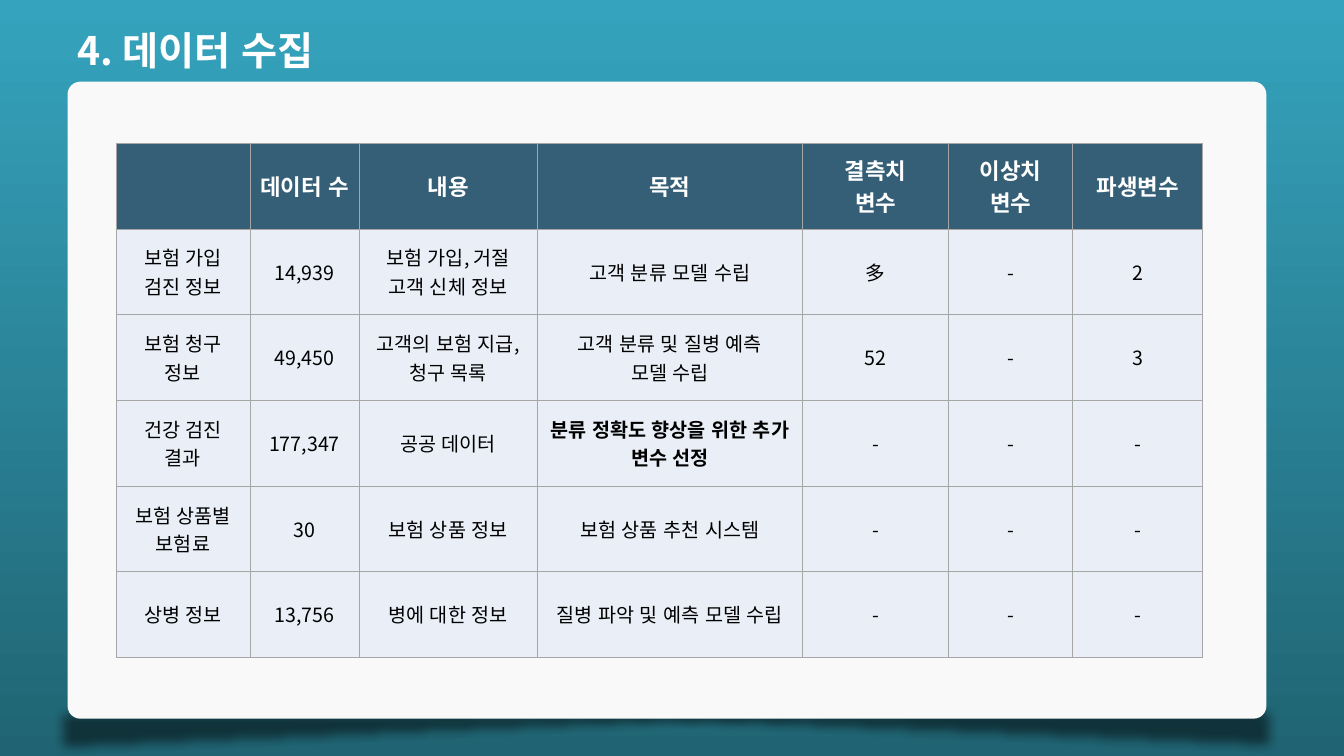
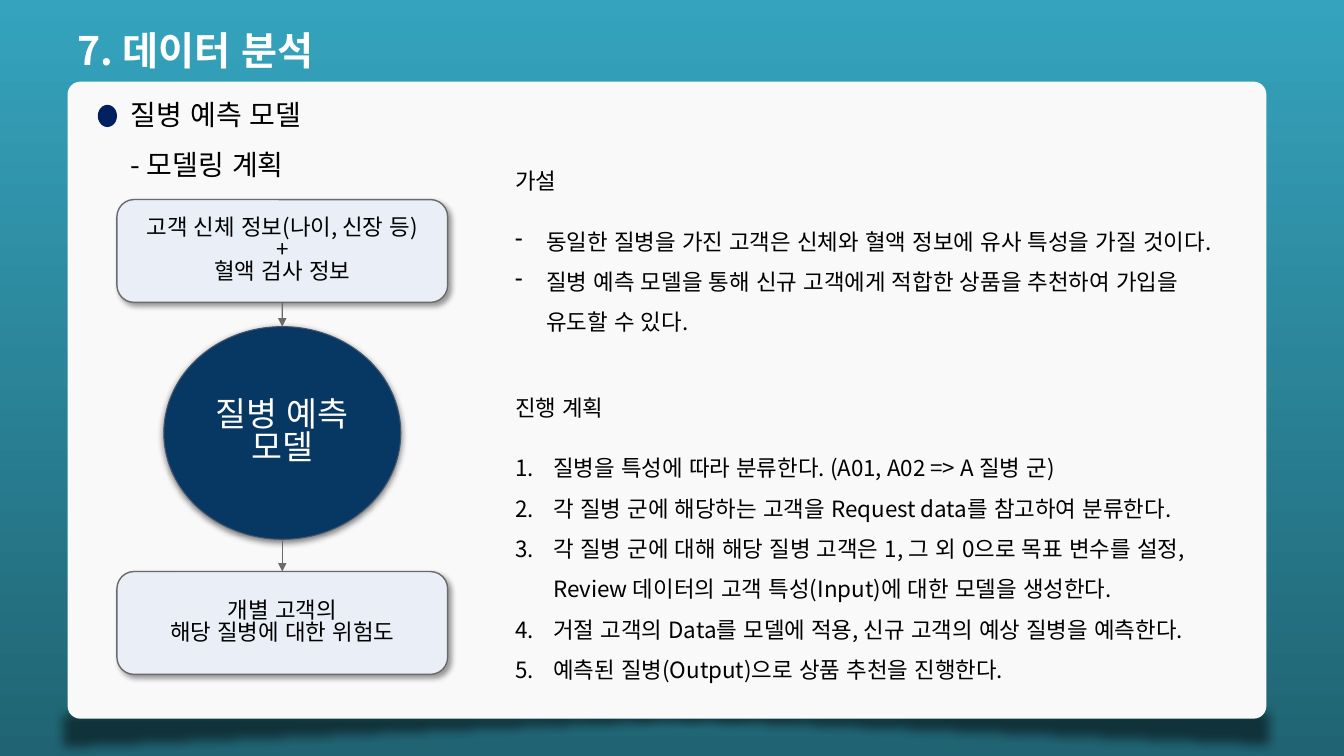
from lxml.etree import SubElement
from pptx import Presentation
from pptx.dml.color import RGBColor
from pptx.enum.lang import MSO_LANGUAGE_ID as Language
from pptx.enum.shapes import MSO_CONNECTOR as Connector, MSO_SHAPE as Preset
from pptx.enum.text import MSO_ANCHOR as Anchor, PP_ALIGN as Align
from pptx.oxml.ns import qn
from pptx.util import Inches, Pt

FONT = "Noto Sans CJK KR"
COLORS = {
    "sky": "35A3BD", "deep": "206473", "panel": "F9F9F9", "header": "355F77",
    "pale": "EAEFF7", "border": "A6A6A6", "edge": "6A6A6A", "slate": "44546A",
    "navy": "073763", "bullet": "002060", "black": "000000", "white": "FFFFFF",
}

COLUMN_WIDTHS = [1.33, 1.08, 1.77, 2.63, 1.45, 1.23, 1.29]
ROW_HEIGHT = 0.85
HEADER = ["", "데이터 수", "내용", "목적", "결측치\n변수", "이상치\n변수", "파생변수"]
DATASETS = [
    ["보험 가입\n검진 정보", "14,939", "보험 가입, 거절 고객 신체 정보",
     "고객 분류 모델 수립", "多", "-", "2"],
    ["보험 청구\n정보", "49,450", "고객의 보험 지급,\n청구 목록",
     "고객 분류 및 질병 예측\n모델 수립", "52", "-", "3"],
    ["건강 검진\n결과", "177,347", "공공 데이터",
     "분류 정확도 향상을 위한 추가 변수 선정", "-", "-", "-"],
    ["보험 상품별\n보험료", "30", "보험 상품 정보", "보험 상품 추천 시스템", "-", "-", "-"],
    ["상병 정보", "13,756", "병에 대한 정보", "질병 파악 및 예측 모델 수립", "-", "-", "-"],
]
HIGHLIGHT = (3, 3)

HYPOTHESES = [
    "동일한 질병을 가진 고객은 신체와 혈액 정보에 유사 특성을 가질 것이다.",
    "질병 예측 모델을 통해 신규 고객에게 적합한 상품을 추천하여 가입을 유도할 수 있다.",
]
STEPS = [
    "질병을 특성에 따라 분류한다. (A01, A02 => A 질병 군)",
    "각 질병 군에 해당하는 고객을 Request data를 참고하여 분류한다.",
    "각 질병 군에 대해 해당 질병 고객은 1, 그 외 0으로 목표 변수를 설정, "
    "Review 데이터의 고객 특성(Input)에 대한 모델을 생성한다.",
    "거절 고객의 Data를 모델에 적용, 신규 고객의 예상 질병을 예측한다.",
    "예측된 질병(Output)으로 상품 추천을 진행한다.",
]
FLOW_CENTER = 2.8


def rgb(name):
    return RGBColor.from_string(COLORS[name])


def add_node(parent, tag, **attributes):
    return SubElement(parent, qn(tag), {key: str(value) for key, value in attributes.items()})


def add_span(para, text, size, color="black", bold=False):
    span = para.add_run()
    span.text = text
    font = span.font
    font.name, font.size, font.bold = FONT, Pt(size), bold
    font.color.rgb = rgb(color)
    font.language_id = Language.KOREAN
    add_node(font._element, "a:ea", typeface=FONT)


def write_lines(frame, text, size, color="black", bold=False, align=Align.CENTER, spacing=None):
    """Write each line of the text as one paragraph."""
    for index, line in enumerate(text.split("\n")):
        para = frame.add_paragraph() if index else frame.paragraphs[0]
        para.alignment = align
        para.line_spacing = spacing
        if line:
            add_span(para, line, size, color, bold)


def add_preset(page, preset, left, top, width, height, fill, line=None, line_width=1):
    shape = page.shapes.add_shape(
        preset, Inches(left), Inches(top), Inches(width), Inches(height))
    shape.shadow.inherit = False
    shape.fill.solid()
    shape.fill.fore_color.rgb = rgb(fill)
    if line:
        shape.line.color.rgb = rgb(line)
        shape.line.width = Pt(line_width)
    else:
        shape.line.fill.background()
    return shape


def add_effect(shape, tag, **attributes):
    effects = shape.element.spPr.find(qn("a:effectLst"))
    return add_node(effects, tag, **attributes)


def add_shadow(shape, opacity, blur, distance, angle):
    shadow = add_effect(shape, "a:outerShdw", blurRad=Pt(blur), dist=Pt(distance),
                        dir=angle * 60000, algn="ctr", rotWithShape=0)
    color = add_node(shadow, "a:srgbClr", val=COLORS["black"])
    add_node(color, "a:alpha", val=opacity * 1000)


def add_text_box(page, left, top, width, height):
    box = page.shapes.add_textbox(Inches(left), Inches(top), Inches(width), Inches(height))
    box.text_frame.word_wrap = True
    return box.text_frame


def add_label(page, text, left, top, width, height, size, color="black", bold=False):
    frame = add_text_box(page, left, top, width, height)
    write_lines(frame, text, size, color, bold, Align.LEFT)


def add_title(page, text):
    add_label(page, text, 0.67, 0.21, 7.52, 0.57, 28, "white", True)


def add_panel_shadow(page, left, top, flips):
    """Draw a soft wedge that lifts one lower corner of the panel."""
    wedge = add_preset(page, Preset.RIGHT_TRIANGLE, left, top, 12.02, 0.5, "black")
    for flip in flips:
        wedge.element.spPr.xfrm.set(flip, "1")
    color = next(wedge.element.spPr.iter(qn("a:srgbClr")))
    add_node(color, "a:alpha", val=51000)
    add_effect(wedge, "a:softEdge", rad=Pt(7))
    return wedge


def style_master(deck, page):
    """Give the master its gradient and the white panel, drawn first on a page."""
    master = deck.slide_master
    fill = master.background.fill
    fill.gradient()
    fill.gradient_angle = 270
    for stop, name in zip(fill.gradient_stops, ("sky", "deep")):
        stop.color.rgb = rgb(name)

    right = add_panel_shadow(page, 0.65, 6.98, ("flipH", "flipV"))
    left = add_panel_shadow(page, 0.54, 7, ("flipV",))
    panel = add_preset(page, Preset.ROUNDED_RECTANGLE, 0.67, 0.81, 11.89, 6.32, "panel")
    panel.adjustments[0] = 0.02
    for number, shape in enumerate((right, left, panel), 101):
        shape.element.nvSpPr.cNvPr.set("id", str(number))
        master.element.cSld.spTree.append(shape.element)


def style_cell(cell, fill):
    properties = cell._tc.get_or_add_tcPr()
    for side in ("a:lnL", "a:lnR", "a:lnT", "a:lnB"):
        border = add_node(properties, side, w=Pt(0.5))
        add_node(add_node(border, "a:solidFill"), "a:srgbClr", val=COLORS["border"])
    cell.fill.solid()
    cell.fill.fore_color.rgb = rgb(fill)
    cell.vertical_anchor = Anchor.MIDDLE


def add_dataset_table(page):
    rows = [HEADER] + DATASETS
    table = page.shapes.add_table(
        len(rows), len(HEADER), Inches(1.15), Inches(1.42),
        Inches(sum(COLUMN_WIDTHS)), Inches(ROW_HEIGHT * len(rows))).table
    for column, width in zip(table.columns, COLUMN_WIDTHS):
        column.width = Inches(width)
    for row_index, texts in enumerate(rows):
        table.rows[row_index].height = Inches(ROW_HEIGHT)
        for column_index, text in enumerate(texts):
            cell = table.cell(row_index, column_index)
            if row_index == 0:
                style_cell(cell, "header")
                write_lines(cell.text_frame, text, 16, "white", True)
            else:
                style_cell(cell, "pale")
                bold = (row_index, column_index) == HIGHLIGHT
                write_lines(cell.text_frame, text, 14, bold=bold)


def add_flow_node(page, preset, text, top, width, height, fill, line, line_width, size, color):
    node = add_preset(page, preset, FLOW_CENTER - width / 2, top, width, height,
                      fill, line, line_width)
    frame = node.text_frame
    frame.word_wrap = True
    frame.vertical_anchor = Anchor.MIDDLE
    frame.margin_left = frame.margin_right = Inches(0.05)
    write_lines(frame, text, size, color, spacing=0.83)
    return node


def add_flow_box(page, text, top):
    box = add_flow_node(page, Preset.ROUNDED_RECTANGLE, text, top, 3.28, 1.02,
                        "pale", "edge", 1, 16, "black")
    add_shadow(box, 40, 4, 3, 45)
    return box


def add_arrow(page, upper, lower):
    center = Inches(FLOW_CENTER)
    arrow = page.shapes.add_connector(
        Connector.STRAIGHT, center, upper.top + upper.height, center, lower.top)
    if upper.auto_shape_type == Preset.ROUNDED_RECTANGLE:
        arrow.begin_connect(upper, 2)
    arrow.end_connect(lower, 0)
    arrow.line.color.rgb = rgb("edge")
    arrow.line.width = Pt(1)
    add_node(arrow.line._get_or_add_ln(), "a:tailEnd", type="triangle")
    add_node(arrow.element.spPr, "a:effectLst")


def add_flow(page):
    model = add_flow_node(page, Preset.OVAL, "질병 예측\n모델", 3.24, 2.35, 2.11,
                          "navy", "slate", 0.75, 24, "white")
    add_shadow(model, 50, 4.5, 1.5, 90)
    inputs = add_flow_box(page, "고객 신체 정보(나이, 신장 등)\n+\n혈액 검사 정보", 1.98)
    risk = add_flow_box(page, "개별 고객의\n해당 질병에 대한 위험도", 5.67)
    add_arrow(page, inputs, model)
    add_arrow(page, model, risk)


def add_list(page, heading, items, top, height, indent, bullet, **bullet_attributes):
    frame = add_text_box(page, 5.01, top, 7.2, height)
    first = frame.paragraphs[0]
    first.space_after = Pt(14.5)
    add_span(first, heading, 16)
    for item in items:
        para = frame.add_paragraph()
        para.line_spacing = 1.5
        properties = para._p.get_or_add_pPr()
        properties.set("marL", str(Inches(indent)))
        properties.set("indent", str(-Inches(indent)))
        add_node(properties, bullet, **bullet_attributes)
        add_span(para, item, 16)


def fill_collection_page(page):
    add_dataset_table(page)
    add_title(page, "4. 데이터 수집")


def fill_analysis_page(page):
    add_title(page, "7. 데이터 분석")
    add_flow(page)
    add_list(page, "진행 계획", STEPS, 3.86, 2.97, 0.38, "a:buAutoNum", type="arabicPeriod")
    add_list(page, "가설", HYPOTHESES, 1.61, 1.75, 0.31, "a:buChar", char="-")
    add_label(page, "- 모델링 계획", 1.2, 1.41, 4.83, 0.44, 20)
    add_preset(page, Preset.OVAL, 0.97, 1.04, 0.19, 0.22, "bullet")
    add_label(page, "질병 예측 모델", 1.2, 0.92, 3.57, 0.44, 20)


def main():
    deck = Presentation()
    deck.slide_width, deck.slide_height = Inches(13.33), Inches(7.5)
    blank = deck.slide_layouts[6]
    collection, analysis = (deck.slides.add_slide(blank) for _ in range(2))
    style_master(deck, collection)
    fill_collection_page(collection)
    fill_analysis_page(analysis)
    deck.save("out.pptx")


if __name__ == "__main__":
    main()
